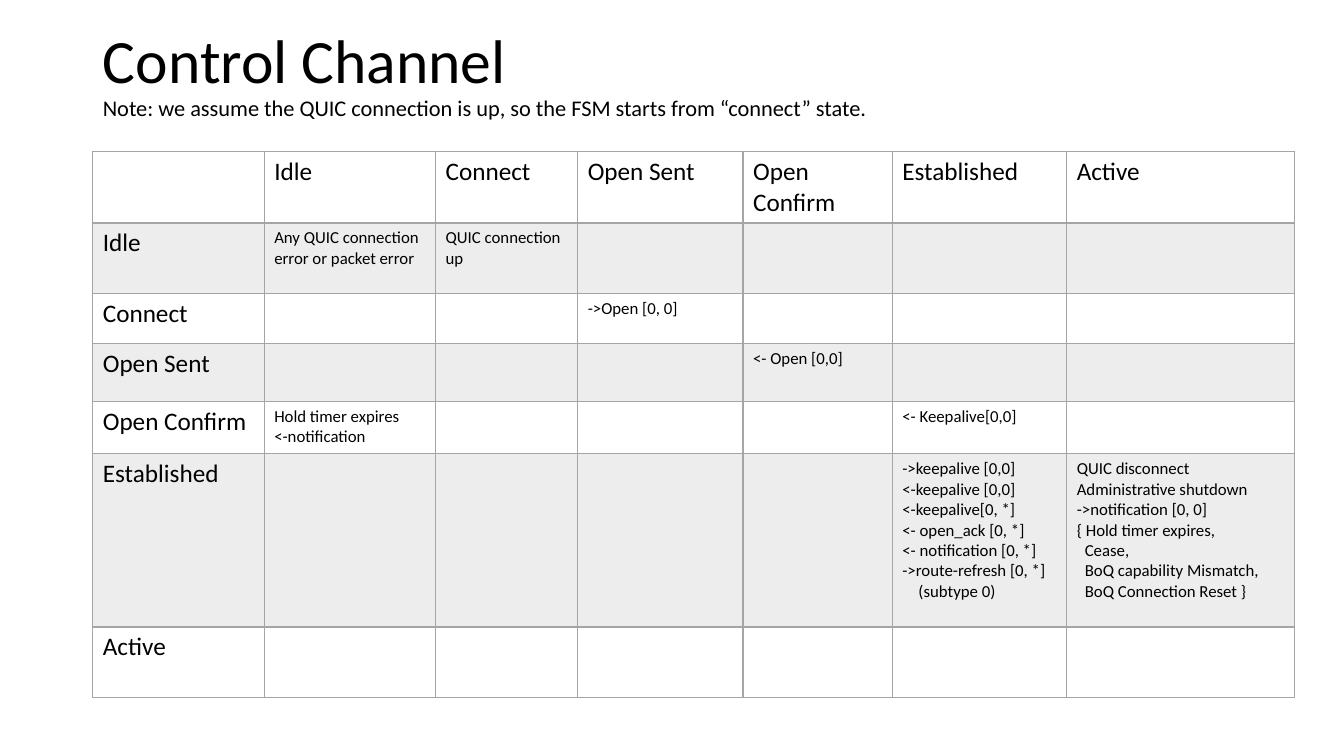
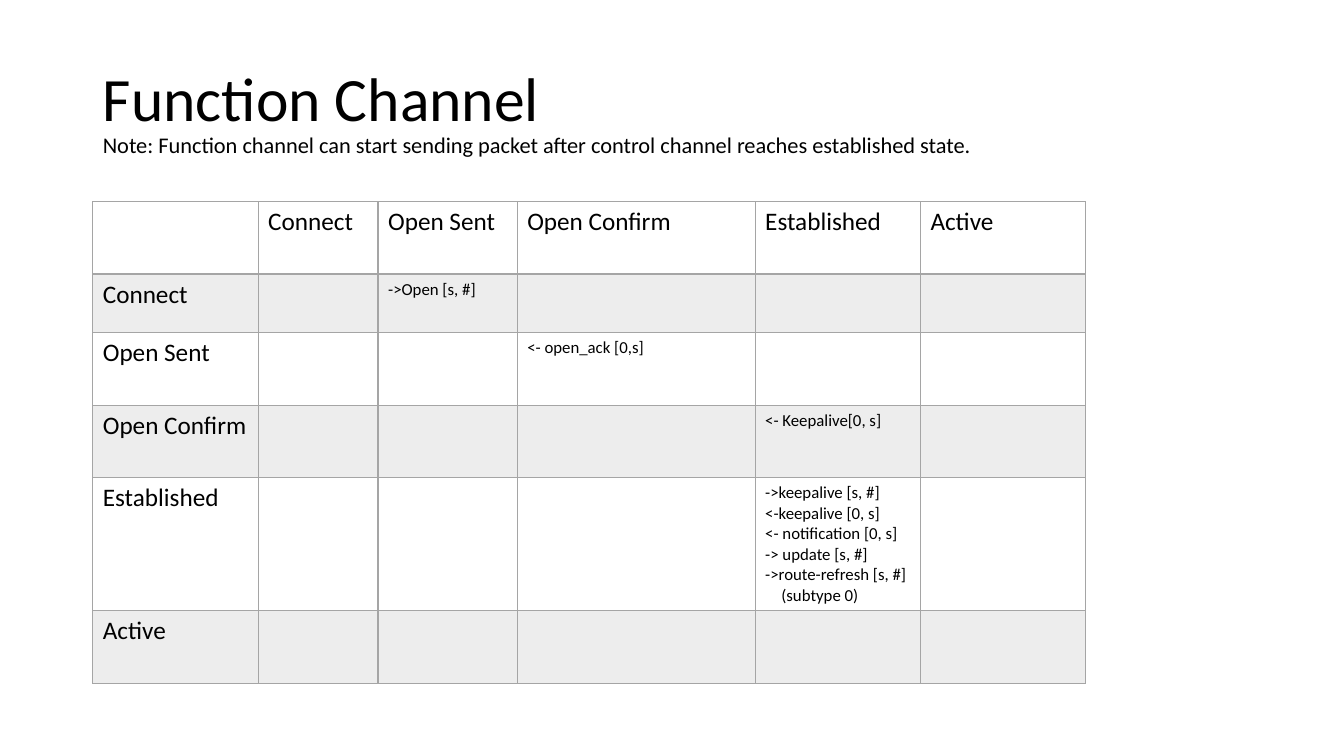
from pptx import Presentation
from pptx.dml.color import RGBColor
from pptx.enum.text import MSO_ANCHOR as Anchor, MSO_AUTO_SIZE as Fit, PP_ALIGN as Align
from pptx.oxml import parse_xml
from pptx.oxml.ns import nsdecls
from pptx.util import Inches, Pt

INK, GRID, BAND = "000000", "A5A5A5", "EDEDED"
FRAME = {"word_wrap": True, "auto_size": Fit.NONE, "vertical_anchor": Anchor.MIDDLE}
LEFT, STEP = 0.92, 0.08
HEAD, NOTE, LABEL, EVENT = 44, 16, 18, 12


def tint(color, value):
    color.rgb = RGBColor.from_string(value)


def write(para, text, size):
    run = para.add_run()
    run.text = text
    for key, value in {"name": "Calibri", "size": Pt(size), "bold": False}.items():
        setattr(run.font, key, value)
    tint(run.font.color, INK)


pages = [
    {
        "title": "Control Channel",
        "note": "Note: we assume the QUIC connection is up, so the FSM starts from “connect” state.",
        "box": (0.14, 1.22),
        "top": 1.5,
        "cols": [1.7, 1.7, 1.41, 1.64, 1.48, 1.73, 2.26],
        "rows": [0.71, 0.7, 0.5, 0.57, 0.52, 1.72, 0.7],
        "states": ["Idle", "Connect", "Open Sent", "Open Confirm", "Established", "Active"],
        "events": {
            ("Idle", "Idle"): ["Any QUIC connection error or packet error"],
            ("Idle", "Connect"): ["QUIC connection up"],
            ("Connect", "Open Sent"): ["->Open [0, 0]"],
            ("Open Sent", "Open Confirm"): ["<- Open [0,0]"],
            ("Open Confirm", "Idle"): ["Hold timer expires", "<-notification"],
            ("Open Confirm", "Established"): ["<- Keepalive[0,0]"],
            ("Established", "Established"): [
                "->keepalive [0,0]", "<-keepalive [0,0]", "<-keepalive[0, *]",
                "<- open_ack [0, *]", "<- notification [0, *]",
                "->route-refresh [0, *]", "\t\t(subtype 0)"],
            ("Established", "Active"): [
                "QUIC disconnect", "Administrative shutdown", "->notification [0, 0]",
                "{ Hold timer expires,", "\tCease,", "\tBoQ capability Mismatch,",
                "\tBoQ Connection Reset }"],
        },
    },
    {
        "title": "Function Channel",
        "note": "Note: Function channel can start sending packet after control channel reaches established state.",
        "box": (0.4, 1.45),
        "top": 2,
        "cols": [1.64, 1.19, 1.38, 2.36, 1.64, 1.64],
        "rows": [0.72, 0.58, 0.72, 0.72, 1.32, 0.72],
        "states": ["Connect", "Open Sent", "Open Confirm", "Established", "Active"],
        "events": {
            ("Connect", "Open Sent"): ["->Open [s, #]"],
            ("Open Sent", "Open Confirm"): ["<- open_ack [0,s]"],
            ("Open Confirm", "Established"): ["<- Keepalive[0, s]"],
            ("Established", "Established"): [
                "->keepalive [s, #]", "<-keepalive [0, s]", "<- notification [0, s]",
                "-> update [s, #]", "->route-refresh [s, #]", "\t\t(subtype 0)"],
        },
    },
]

deck = Presentation()
deck.slide_width, deck.slide_height = Inches(13.33), Inches(7.5)

for page in pages:
    slide = deck.slides.add_slide(deck.slide_layouts[5])
    title = slide.shapes.title
    top, height = page["box"]
    place = {"left": LEFT, "top": top, "width": 11.5, "height": height}
    for key, value in place.items():
        setattr(title, key, Inches(value))
    for key, value in FRAME.items():
        setattr(title.text_frame, key, value)
    para = title.text_frame.paragraphs[0]
    para.alignment, para.line_spacing = Align.LEFT, 0.9
    write(para, page["title"], HEAD)
    para.add_line_break()
    write(para, page["note"], NOTE)

    cols, rows, states = page["cols"], page["rows"], page["states"]
    table = slide.shapes.add_table(
        len(rows), len(cols), Inches(LEFT), Inches(page["top"]),
        Inches(sum(cols)), Inches(sum(rows))).table
    table.first_row = table.horz_banding = False
    for col, width in zip(table.columns, cols):
        col.width = Inches(width)

    names = [""] + states
    for r, height in enumerate(rows):
        table.rows[r].height = Inches(height)
        for c in range(len(cols)):
            cell = table.cell(r, c)
            props = cell._tc.get_or_add_tcPr()
            for side in "LRTB":
                thick = (r, side) in [(0, "B"), (1, "T")]
                props.append(parse_xml(
                    f'<a:ln{side} {nsdecls("a")} w="{Pt(2 if thick else 1)}"><a:solidFill>'
                    f'<a:srgbClr val="{GRID}"/></a:solidFill></a:ln{side}>'))
            if r % 2:
                cell.fill.solid()
                tint(cell.fill.fore_color, BAND)
            else:
                cell.fill.background()
            label = r == 0 or c == 0
            lines = [names[r + c]] if label else page["events"].get((names[r], names[c]), [])
            for i, line in enumerate(lines):
                frame = cell.text_frame
                para = frame.add_paragraph() if i else frame.paragraphs[0]
                text = line.lstrip("\t")
                depth = len(line) - len(text)
                if depth:
                    para._p.get_or_add_pPr().set("marL", str(Inches(STEP * depth)))
                if text:
                    write(para, text, LABEL if label else EVENT)

deck.save("out.pptx")
